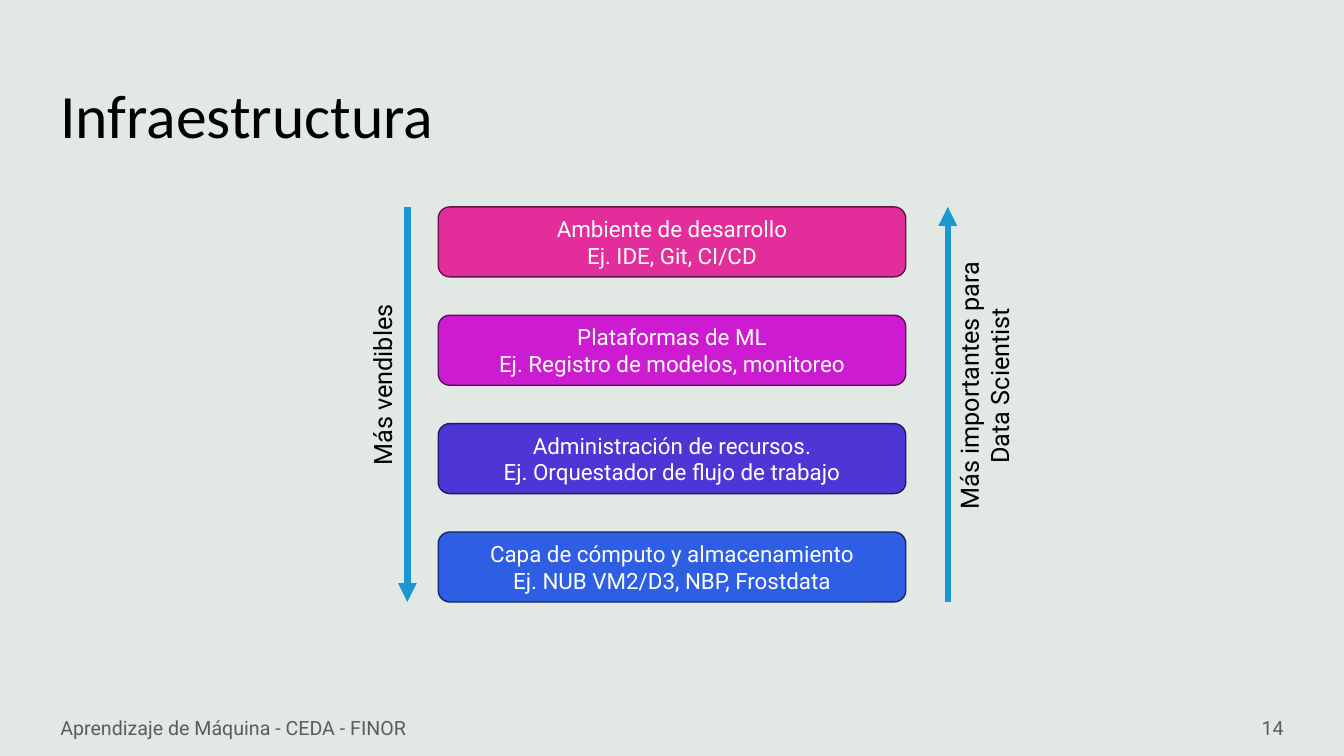
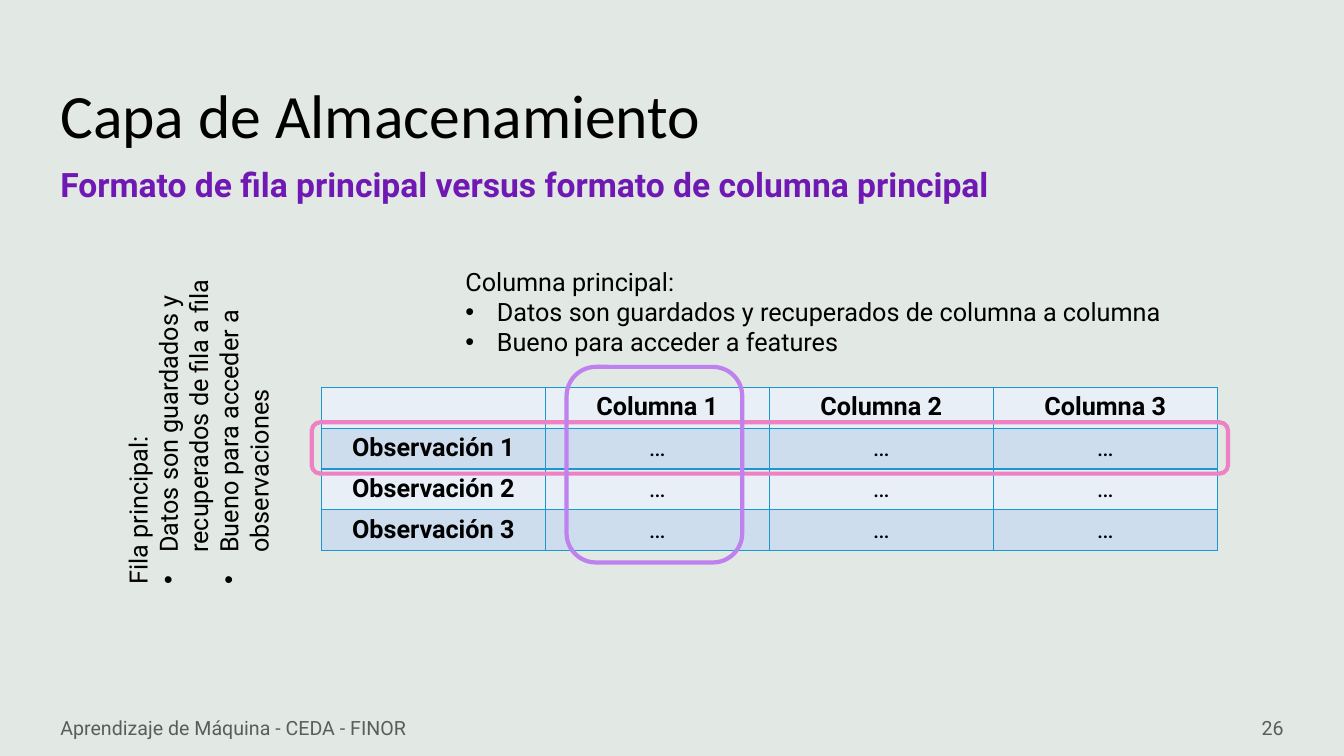
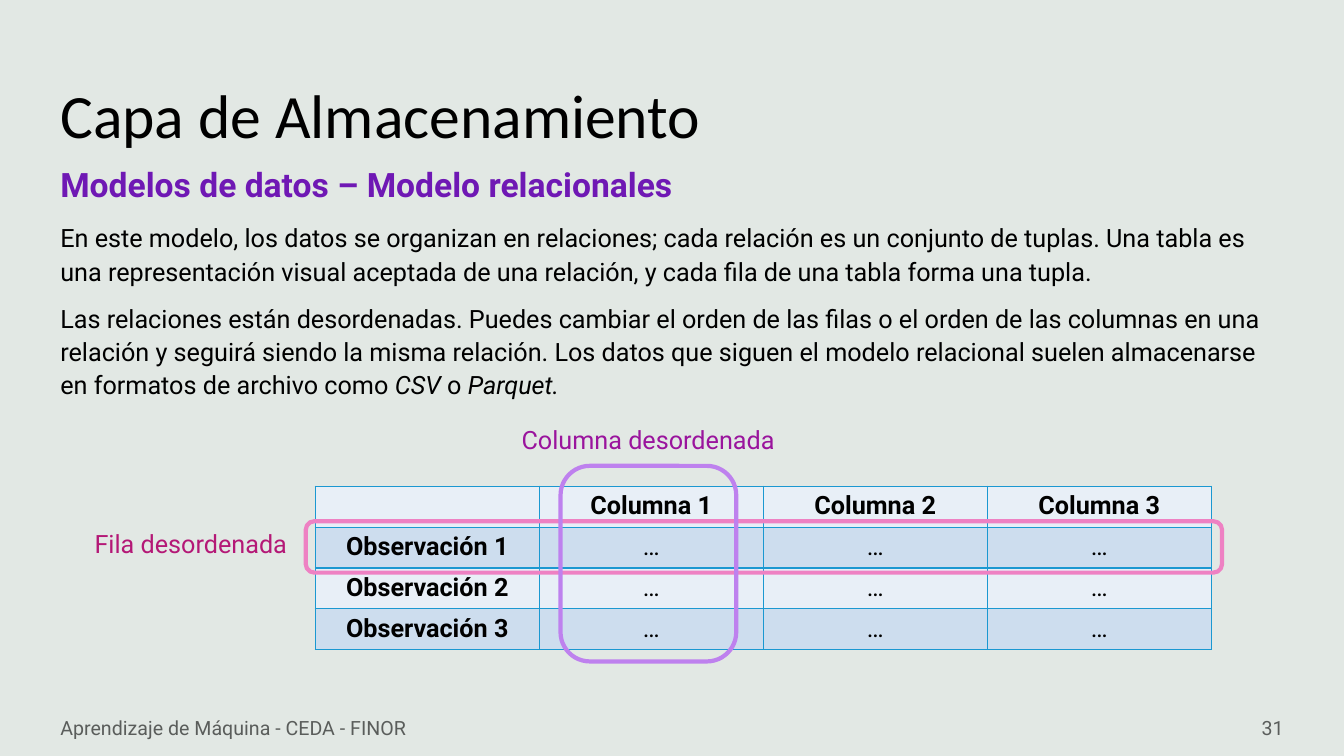
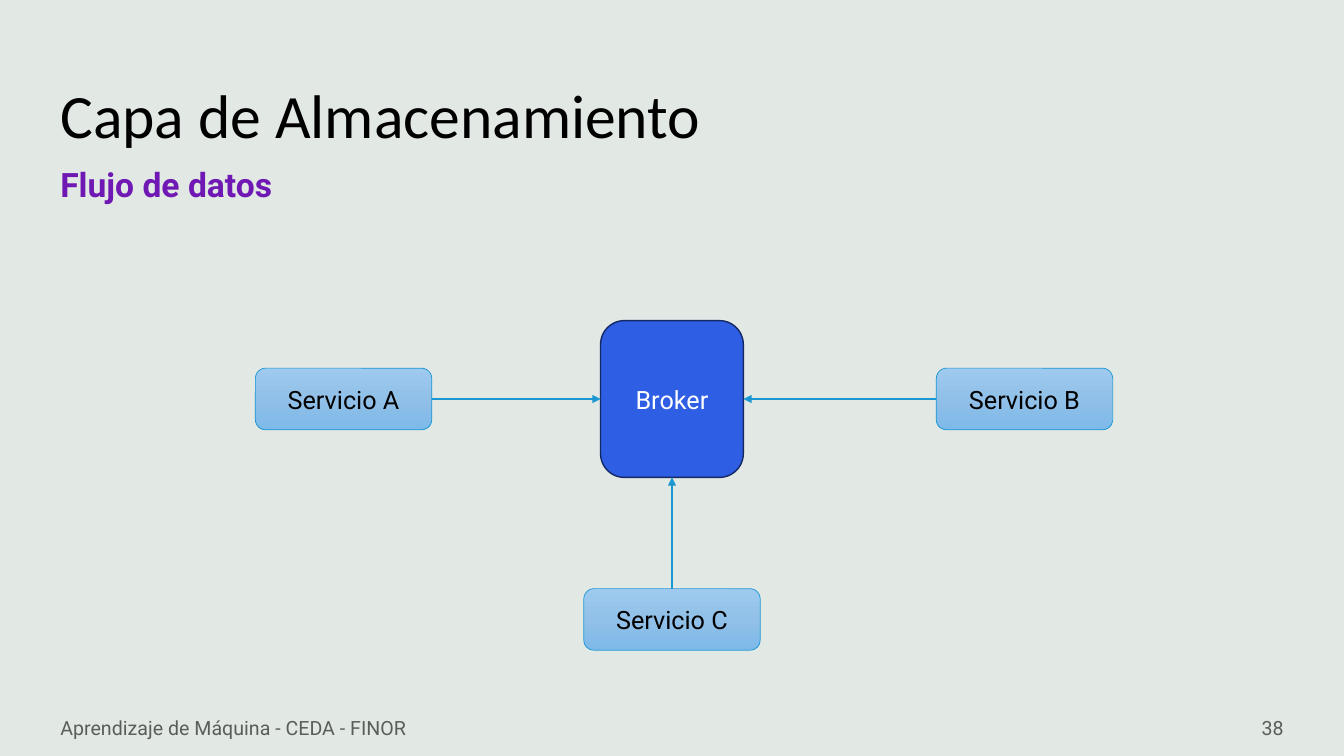
"""Build four slides on machine learning infrastructure."""
from copy import deepcopy
from dataclasses import dataclass, field
from typing import Any, NamedTuple

from lxml.etree import SubElement as Sub
from pptx import Presentation
from pptx.dml.color import RGBColor as RGB
from pptx.enum.shapes import MSO_CONNECTOR as Link, MSO_SHAPE as Shape
from pptx.enum.text import MSO_ANCHOR as Anchor, PP_ALIGN as Align
from pptx.oxml.ns import qn
from pptx.util import Pt

PAPER = RGB(0xE2, 0xE8, 0xE4)
BLACK = RGB(0x00, 0x00, 0x00)
WHITE = RGB(0xFF, 0xFF, 0xFF)
GREY = RGB(0x5A, 0x5D, 0x5B)
PURPLE = RGB(0x6F, 0x18, 0xB4)
SKY = RGB(0x1B, 0x98, 0xD1)
BLUE = RGB(0x2D, 0x5E, 0xE3)
NAVY = RGB(0x14, 0x29, 0x63)
PINK = RGB(0xE3, 0x2D, 0x9B)
WINE = RGB(0x63, 0x14, 0x44)
PLUM = RGB(0xCD, 0x1B, 0xD1)
GRAPE = RGB(0x5A, 0x0C, 0x5C)
VIOLET = RGB(0x4E, 0x36, 0xD6)
INK = RGB(0x22, 0x18, 0x5E)
ROSE = RGB(0xEE, 0x81, 0xC3)
LILAC = RGB(0xBE, 0x81, 0xEE)
ORCHID = RGB(0x9A, 0x14, 0x9D)
CHERRY = RGB(0xB4, 0x18, 0x76)
PALE = RGB(0xE8, 0xEF, 0xF7)
MIST = RGB(0xCD, 0xDD, 0xEE)
FADE = (RGB(0x9E, 0xCA, 0xEF), RGB(0x91, 0xC0, 0xE8), RGB(0x7D, 0xB9, 0xE9))

FOOTER = "Aprendizaje de Máquina - CEDA - FINOR"
STORE = "Capa de Almacenamiento"
COL, ROW = 160, 29.2


class Area(NamedTuple):
    left: float
    top: float
    width: float
    height: float


@dataclass(frozen=True)
class Look:
    size: float = 18
    color: RGB = BLACK
    name: str = "Roboto"
    bold: bool = False
    align: Align = Align.LEFT


@dataclass(frozen=True)
class Para:
    runs: tuple[str, ...]
    bullet: bool = False
    form: dict[str, Any] = field(default_factory=dict)


@dataclass(frozen=True)
class Layer:
    lines: tuple[str, str]
    fill: RGB
    edge: RGB


@dataclass(frozen=True)
class Node:
    label: str
    left: float
    top: float
    start: int
    end: int


HEAD = Look(44, name="Calibri")
SUBHEAD = Look(24, PURPLE, bold=True)
NOTE = Look(14, GREY)
PAGE = Look(14, GREY, align=Align.RIGHT)
BODY = Look()
MID = Look(align=Align.CENTER)
STRONG = Look(bold=True, align=Align.CENTER)
LIGHT = Look(color=WHITE, align=Align.CENTER)
SMALL = Look(16, WHITE, align=Align.CENTER)

LAYERS = (
    Layer(("Ambiente de desarrollo", "Ej. IDE, Git, CI/CD"), PINK, WINE),
    Layer(("Plataformas de ML", "Ej. Registro de modelos, monitoreo"), PLUM, GRAPE),
    Layer(("Administración de recursos.", "Ej. Orquestador de flujo de trabajo"), VIOLET, INK),
    Layer(("Capa de cómputo y almacenamiento", "Ej. NUB VM2/D3, NBP, Frostdata"), BLUE, NAVY),
)
NODES = (
    Node("Servicio A", 182.4, 263, 3, 1),
    Node("Servicio B", 668.8, 263, 1, 3),
    Node("Servicio C", 417, 420.5, 0, 2),
)


def assign(item: Any, form: dict[str, Any]) -> None:
    for key, value in form.items():
        setattr(item, key, value)


def write(frame: Any, lines: tuple, look: Look) -> None:
    for at, line in enumerate(lines):
        para = line if isinstance(line, Para) else Para((line,))
        block = frame.paragraphs[0] if at == 0 else frame.add_paragraph()
        assign(block, {"alignment": look.align, **para.form})
        if para.bullet:
            props = block._p.get_or_add_pPr()
            props.set("marL", str(Pt(22.5)))
            props.set("indent", str(Pt(-22.5)))
            Sub(props, qn("a:buFont"), typeface="Arial")
            Sub(props, qn("a:buChar"), char="•")
        for turn, text in enumerate(para.runs):
            run = block.add_run()
            run.text = text
            assign(run.font, {"size": Pt(look.size), "name": look.name,
                              "bold": look.bold, "italic": turn % 2 == 1})
            run.font.color.rgb = look.color


def label(slide: Any, area: Area, lines: tuple, look: Look, wrap: bool = True,
          anchor: Anchor = Anchor.TOP, turn: float = 0) -> None:
    box = slide.shapes.add_textbox(*map(Pt, area))
    box.rotation = turn
    assign(box.text_frame, {"word_wrap": wrap, "vertical_anchor": anchor})
    write(box.text_frame, lines, look)


def panel(slide: Any, area: Area, edge: RGB, width: float,
          fill: RGB | None = None, lines: tuple = (), look: Look = LIGHT) -> Any:
    shape = slide.shapes.add_shape(Shape.ROUNDED_RECTANGLE, *map(Pt, area))
    shape.shadow.inherit = False
    shape.line.color.rgb = edge
    shape.line.width = Pt(width)
    if fill is None:
        shape.fill.background()
    else:
        shape.fill.solid()
        shape.fill.fore_color.rgb = fill
    assign(shape.text_frame, {"word_wrap": True, "vertical_anchor": Anchor.MIDDLE})
    write(shape.text_frame, lines, look)
    return shape


def shade(shape: Any) -> None:
    shape.fill.gradient()
    shape.fill.gradient_angle = 270
    stops = shape._element.find(".//" + qn("a:gsLst"))
    stops.insert(1, deepcopy(stops[0]))
    for stop, place, color in zip(shape.fill.gradient_stops, (0, 0.5, 1), FADE):
        stop.color.rgb = color
        stop.position = place


def arrow(slide: Any, start: tuple[float, float], end: tuple[float, float],
          width: float) -> Any:
    line = slide.shapes.add_connector(Link.STRAIGHT, *map(Pt, start + end))
    line.line.color.rgb = SKY
    line.line.width = Pt(width)
    Sub(line.line._get_or_add_ln(), qn("a:tailEnd"), type="triangle")
    Sub(line._element.spPr, qn("a:effectLst"))
    return line


def page(deck: Any, title: str, number: int, topic: str = "") -> Any:
    slide = deck.slides.add_slide(deck.slide_layouts[6])
    label(slide, Area(36, 28.8, 858, 104.4), (title,), HEAD, anchor=Anchor.MIDDLE)
    label(slide, Area(36, 505.5, 324, 28.8), (FOOTER,), NOTE, anchor=Anchor.MIDDLE)
    label(slide, Area(708, 505.5, 216, 28.8), (str(number),), PAGE, anchor=Anchor.MIDDLE)
    if topic:
        label(slide, Area(36, 113.8, 888, 36), (topic,), SUBHEAD)
    return slide


def border(cell: Any) -> None:
    props = cell._tc.get_or_add_tcPr()
    for side in ("a:lnL", "a:lnR", "a:lnT", "a:lnB"):
        line = Sub(props, qn(side), w=str(Pt(1)))
        Sub(Sub(line, qn("a:solidFill")), qn("a:srgbClr"), val=str(SKY))


def grid(slide: Any, left: float, top: float) -> None:
    area = Area(left, top, 4 * COL, 4 * ROW)
    table = slide.shapes.add_table(4, 4, *map(Pt, area)).table
    for row in range(4):
        table.rows[row].height = Pt(ROW)
        for col in range(4):
            table.columns[col].width = Pt(COL)
            cell = table.cell(row, col)
            border(cell)
            cell.fill.solid()
            cell.fill.fore_color.rgb = MIST if row % 2 else PALE
            if row and col:
                write(cell.text_frame, ("…",), MID)
            elif row or col:
                text = f"Observación {row}" if row else f"Columna {col}"
                write(cell.text_frame, (text,), STRONG)
    panel(slide, Area(left - 6.8, top + 25, 654.5, 36.7), ROSE, 3)
    panel(slide, Area(left + 175.2, top - 14.5, 125.5, 139.7), LILAC, 3)


def stack(deck: Any) -> None:
    slide = page(deck, "Infraestructura", 14)
    top, end = 147.8, 430
    tall = 50
    step = (end - top - tall) / (len(LAYERS) - 1)
    for at, layer in enumerate(LAYERS):
        panel(slide, Area(313, top + at * step, 334, tall), layer.edge, 1,
              layer.fill, layer.lines, SMALL)
    arrow(slide, (677, end), (677, top), 4.5)
    arrow(slide, (291, top), (291, end), 4.5)
    label(slide, Area(206, 260.5, 134, 29), ("Más vendibles",), MID, wrap=False, turn=270)
    label(slide, Area(603.4, 250, 199.5, 51),
          ("Más importantes para", "Data Scientist"), MID, wrap=False, turn=270)


def formats(deck: Any) -> None:
    slide = page(deck, STORE, 26,
                 "Formato de fila principal versus formato de columna principal")
    grid(slide, 229.5, 276.6)
    label(slide, Area(325.4, 186.5, 530.6, 72.7), (
        "Columna principal:",
        Para(("Datos son guardados y recuperados de columna a columna",), True),
        Para(("Bueno para acceder a features",), True),
    ), BODY, wrap=False)
    label(slide, Area(19.5, 243.4, 245.5, 116.6), (
        "Fila principal:",
        Para(("Datos son guardados y recuperados de fila a fila",), True),
        Para(("Bueno para acceder a observaciones",), True),
    ), BODY, turn=270)


def models(deck: Any) -> None:
    slide = page(deck, STORE, 31, "Modelos de datos – Modelo relacionales")
    form = {"line_spacing": 1.1, "space_before": Pt(10)}
    label(slide, Area(36, 153.4, 888, 330.5), (
        Para(("En este modelo, los datos se organizan en relaciones; cada relación es "
              "un conjunto de tuplas. Una tabla es una representación visual aceptada "
              "de una relación, y cada fila de una tabla forma una tupla.",), form=form),
        Para(("Las relaciones están desordenadas. Puedes cambiar el orden de las filas "
              "o el orden de las columnas en una relación y seguirá siendo la misma "
              "relación. Los datos que siguen el modelo relacional suelen almacenarse "
              "en formatos de archivo como ", "CSV", " o ", "Parquet."), form=form),
    ), BODY)
    grid(slide, 225.2, 347.3)
    label(slide, Area(360, 299.5, 206, 29), ("Columna desordenada",),
          Look(color=ORCHID, align=Align.CENTER), wrap=False)
    label(slide, Area(60.5, 373.7, 159, 29), ("Fila desordenada",),
          Look(color=CHERRY), wrap=False)


def flow(deck: Any) -> None:
    slide = page(deck, STORE, 38, "Flujo de datos")
    broker = panel(slide, Area(429, 229, 102, 112), NAVY, 1, BLUE, ("Broker",))
    for node in NODES:
        shape = panel(slide, Area(node.left, node.top, 126, 44), SKY, 0.5,
                      lines=(node.label,), look=MID)
        shade(shape)
        line = arrow(slide, (0, 0), (0, 0), 1.5)
        line.begin_connect(shape, node.start)
        line.end_connect(broker, node.end)


def main() -> None:
    deck = Presentation()
    assign(deck, {"slide_width": Pt(960), "slide_height": Pt(540)})
    paper = deck.slide_master.background.fill
    paper.solid()
    paper.fore_color.rgb = PAPER
    for build in (stack, formats, models, flow):
        build(deck)
    deck.save("out.pptx")


if __name__ == "__main__":
    main()
